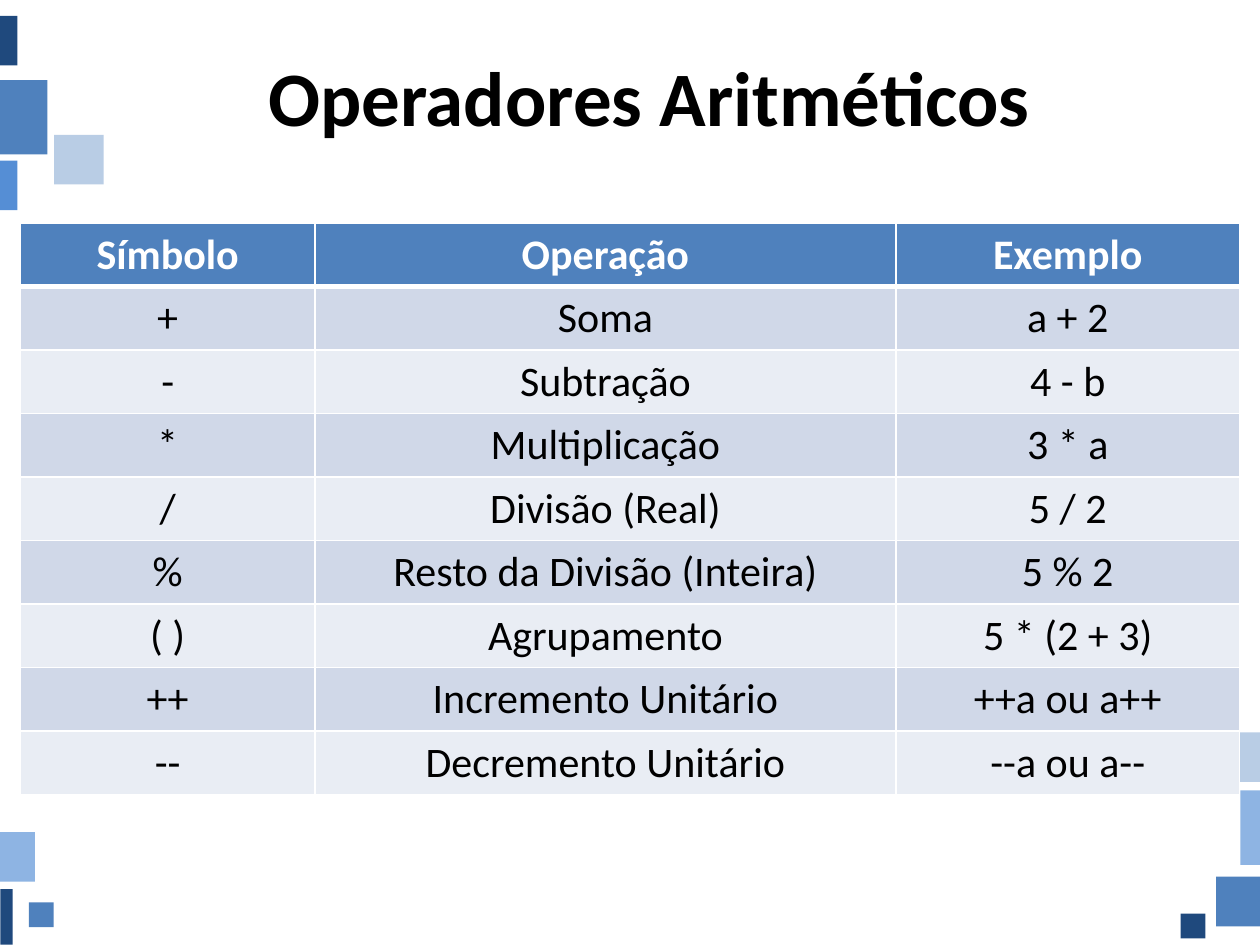
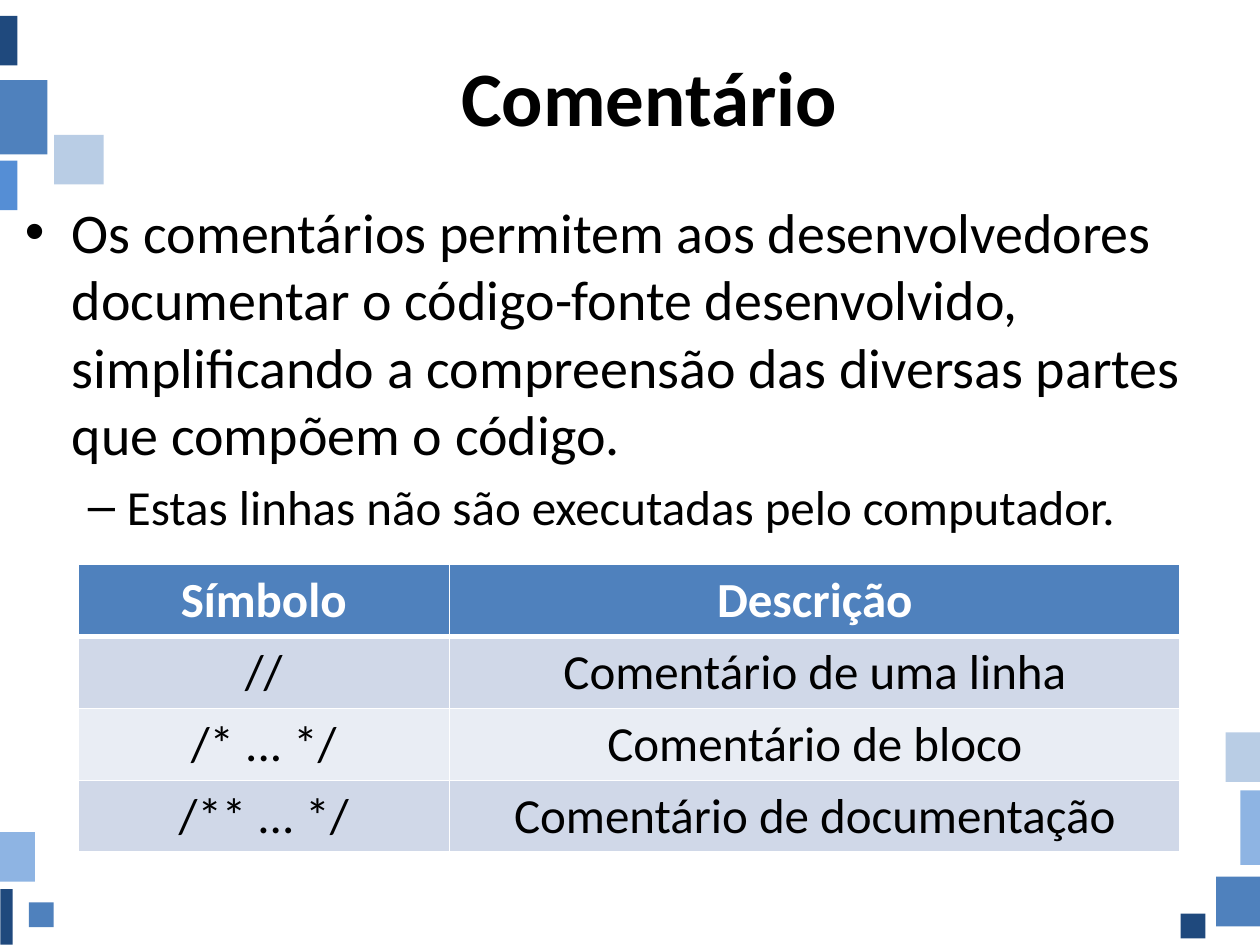
from dataclasses import dataclass

from lxml import etree
from pptx import Presentation, util as u
from pptx.dml import color as col
from pptx.enum import shapes as sh, text as tx
from pptx.oxml import ns

NAVY, BLUE, VIVID, SKY, PALE = "1F497D", "4F81BD", "558ED5", "8EB4E3", "B9CDE5"
BLACK, WHITE = "000000", "FFFFFF"
BANDS = "D0D8E8", "E9EDF4"
FONT = "Calibri"


@dataclass
class Tile:
    left: float
    top: float
    width: float
    height: float
    fill: str


@dataclass
class Grid:
    left: float
    top: float
    widths: tuple[float, ...]
    height: float
    size: int
    rows: list[tuple[str, ...]]


@dataclass
class Bullet:
    mark: str
    level: int
    margin: float
    hang: float


TILES = [
    Tile(-0.33, 0.64, 1, 0.36, NAVY),
    Tile(-0.28, 1.88, 1.5, 0.97, BLUE),
    Tile(-0.33, 3.56, 1, 0.36, VIVID),
    Tile(1.09, 2.72, 1, 1, PALE),
    Tile(24.46, 17.73, 1, 0.89, BLUE),
    Tile(24.46, 16.48, 1.5, 0.41, SKY),
    Tile(24.56, 14.91, 1, 0.71, PALE),
    Tile(23.8, 18.42, 0.5, 0.5, NAVY),
    Tile(-0.43, 18.36, 1.12, 0.25, NAVY),
    Tile(-0.15, 16.92, 1, 0.71, SKY),
    Tile(0.58, 18.19, 0.5, 0.5, BLUE),
]

DOT = Bullet("•", 0, 0.95, 0.95)
DASH = Bullet("–", 1, 2.06, 0.79)

MATHS = Grid(0.41, 4.5, (5.94, 11.71, 6.93), 1.28, 24, [
    ("Símbolo", "Operação", "Exemplo"),
    ("+", "Soma", "a + 2"),
    ("-", "Subtração", "4 - b"),
    ("*", "Multiplicação", "3 * a"),
    ("/", "Divisão (Real)", "5 / 2"),
    ("%", "Resto da Divisão (Inteira)", "5 % 2"),
    ("( )", "Agrupamento", "5 * (2 + 3)"),
    ("++", "Incremento Unitário", "++a ou a++"),
    ("--", "Decremento Unitário", "--a ou a--"),
])

NOTES = Grid(1.57, 11.38, (7.49, 14.73), 1.45, 28, [
    ("Símbolo", "Descrição"),
    ("//", "Comentário de uma linha"),
    ("/* ... */", "Comentário de bloco"),
    ("/** ... */", "Comentário de documentação"),
])


def paint(item, tone: str) -> None:
    if hasattr(item, "solid"):
        item.solid()
        item = item.fore_color
    else:
        item = item.color
    item.rgb = col.RGBColor.from_string(tone)


def write(para, words: str, *, size: int, tone: str = BLACK, bold: bool = False,
          align=tx.PP_ALIGN.CENTER, before: float = 0,
          bullet: Bullet | None = None) -> None:
    para.alignment = align
    para.space_before = u.Pt(before)
    if bullet:
        para.level = bullet.level
        props = para._p.get_or_add_pPr()
        props.set("marL", str(u.Cm(bullet.margin)))
        props.set("indent", str(u.Cm(-bullet.hang)))
        etree.SubElement(props, ns.qn("a:buFont"), typeface="Arial")
        etree.SubElement(props, ns.qn("a:buChar"), char=bullet.mark)
    run = para.add_run()
    run.text = words
    run.font.name, run.font.size, run.font.bold = FONT, u.Pt(size), bold
    paint(run.font, tone)


def frame(slide, left: float, top: float, width: float, height: float, anchor):
    box = slide.shapes.add_textbox(u.Cm(left), u.Cm(top), u.Cm(width), u.Cm(height))
    box.text_frame.word_wrap = True
    box.text_frame.vertical_anchor = anchor
    return box.text_frame


def place(slide, tile: Tile) -> None:
    shape = slide.shapes.add_shape(
        sh.MSO_SHAPE.RECTANGLE, u.Cm(tile.left), u.Cm(tile.top),
        u.Cm(tile.width), u.Cm(tile.height))
    shape.rotation = 90
    shape.shadow.inherit = False
    shape.line.fill.background()
    paint(shape.fill, tile.fill)


def edge(cell, row: int) -> None:
    props = cell._tc.get_or_add_tcPr()
    thick = {"T": 3 if row == 1 else 1, "B": 3 if row == 0 else 1}
    for side in "LRTB":
        line = etree.SubElement(props, ns.qn(f"a:ln{side}"),
                                w=str(u.Pt(thick.get(side, 1))))
        fill = etree.SubElement(line, ns.qn("a:solidFill"))
        etree.SubElement(fill, ns.qn("a:srgbClr"), val=WHITE)


def draw(slide, grid: Grid) -> None:
    count = len(grid.rows)
    table = slide.shapes.add_table(
        count, len(grid.widths), u.Cm(grid.left), u.Cm(grid.top),
        u.Cm(sum(grid.widths)), u.Cm(grid.height * count)).table
    for column, width in zip(table.columns, grid.widths):
        column.width = u.Cm(width)
    for row, words in enumerate(grid.rows):
        head = row == 0
        table.rows[row].height = u.Cm(grid.height)
        for cell, word in zip(table.rows[row].cells, words):
            edge(cell, row)
            paint(cell.fill, BLUE if head else BANDS[(row - 1) % 2])
            cell.vertical_anchor = tx.MSO_ANCHOR.TOP if head else tx.MSO_ANCHOR.MIDDLE
            write(cell.text_frame.paragraphs[0], word, size=grid.size,
                  tone=WHITE if head else BLACK, bold=head)


def start(deck, title: str):
    slide = deck.slides.add_slide(deck.slide_layouts[6])
    for tile in TILES:
        place(slide, tile)
    area = frame(slide, 1.09, 0.33, 24, 3.18, tx.MSO_ANCHOR.MIDDLE)
    write(area.paragraphs[0], title, size=44, bold=True)
    return slide


def main() -> None:
    deck = Presentation()
    deck.slide_width, deck.slide_height = u.Cm(25.4), u.Cm(19.05)

    draw(start(deck, "Operadores Aritméticos"), MATHS)

    slide = start(deck, "Comentário")
    body = frame(slide, 0.25, 3.86, 24.84, 13.92, tx.MSO_ANCHOR.TOP)
    write(body.paragraphs[0],
          "Os comentários permitem aos desenvolvedores documentar o código-fonte "
          "desenvolvido, simplificando a compreensão das diversas partes que "
          "compõem o código.",
          size=32, align=tx.PP_ALIGN.LEFT, bullet=DOT)
    write(body.add_paragraph(), "Estas linhas não são executadas pelo computador.",
          size=28, align=tx.PP_ALIGN.LEFT, before=5.6, bullet=DASH)
    draw(slide, NOTES)

    deck.save("out.pptx")


if __name__ == "__main__":
    main()
